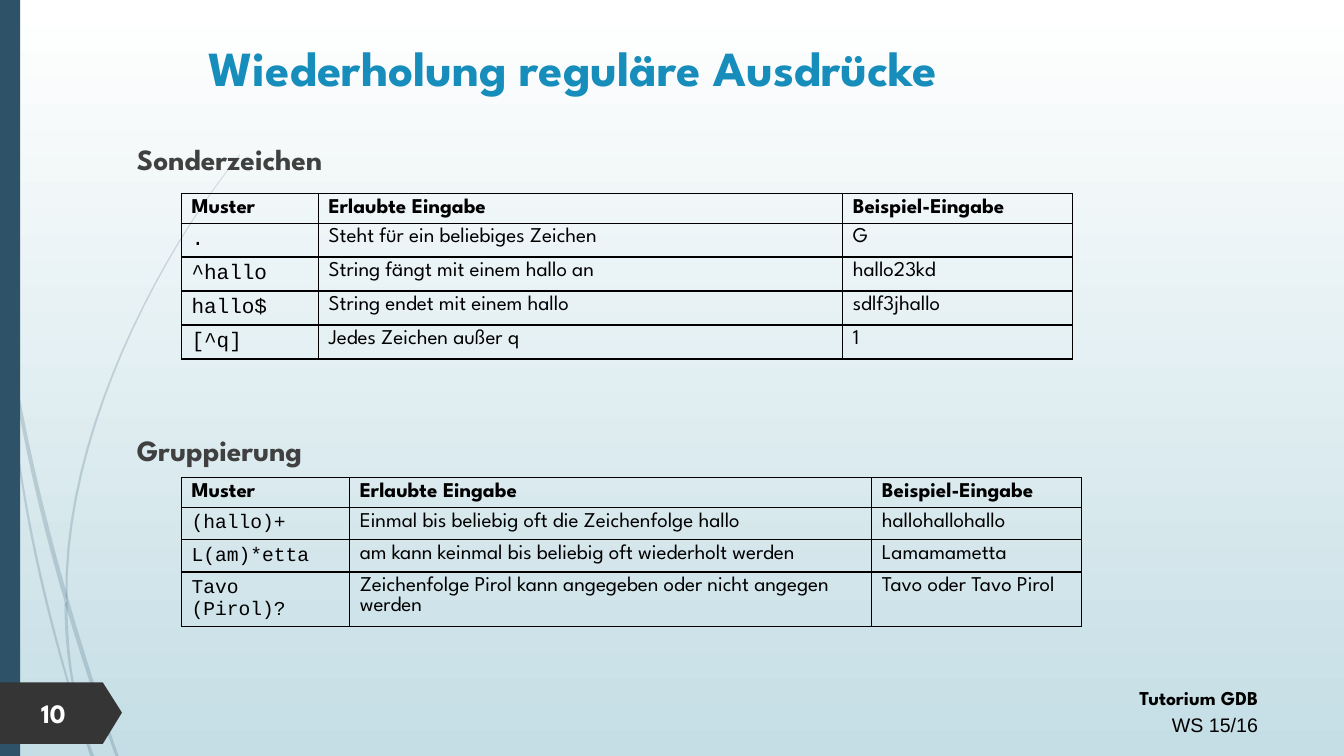
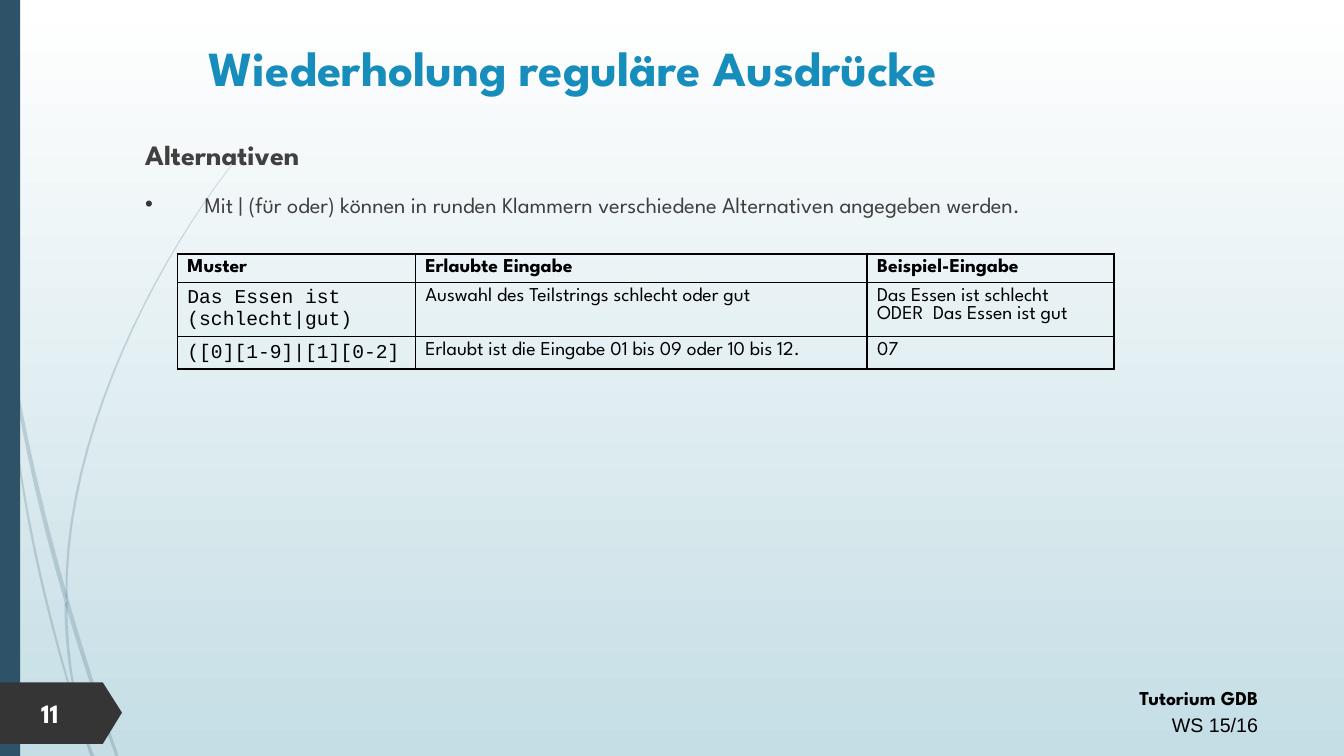
from dataclasses import dataclass

from lxml import etree
from pptx import Presentation
from pptx.dml.color import RGBColor
from pptx.enum import shapes, text
from pptx.oxml.ns import qn
from pptx.util import Pt


# Colours, fonts and type sizes
@dataclass(frozen=True)
class Theme:
    sky_top: str = "FFFFFF"
    sky_bottom: str = "C5DEE5"
    band: str = "2E5369"
    badge: str = "353535"
    title: str = "178DBB"
    body: str = "404040"
    black: str = "000000"
    white: str = "FFFFFF"
    font: str = "League Spartan"
    code: str = "Courier New"
    plain: str = "Arial"
    title_size: int = 35
    number_size: int = 19
    footer_size: int = 14


T = Theme()
ALIGN = text.PP_ALIGN
ANCHOR = text.MSO_ANCHOR
HEADER = ("Muster", "Erlaubte Eingabe", "Beispiel-Eingabe")
ROW_HEIGHT = 20
GRID = 0.72  # points per unit of the outlines below

# Grass strands: two edges each, one cubic curve down and one back up
STRANDS = [
    ([(11, 345), (33, 481), (71, 616), (118, 751)],
     [(115, 751), (69, 626), (34, 501), (13, 376)]),
    ([(8, 350), (17, 484), (48, 617), (91, 751)],
     [(90, 751), (45, 617), (14, 484), (8, 350)]),
    ([(67, 596), (67, 650), (74, 703), (94, 751)],
     [(91, 751), (73, 700), (64, 650), (64, 599)]),
    ([(67, 596), (64, 430), (160, 251), (238, 154)],
     [(238, 153), (159, 250), (62, 430), (65, 592)]),
]
BADGE = [(0, 677), (102, 677), (121, 707), (102, 738), (0, 738)]


def rgb(value):
    return RGBColor.from_string(value)


# Text
def write(p, content, *, size, font=T.font, color=T.black, bold=False, align=None,
          spacing=None, before=None, left=0, hanging=0, bullet=None):
    r = p.add_run()
    r.text = content
    r.font.size, r.font.name, r.font.bold = Pt(size), font, bold
    r.font.color.rgb = rgb(color)
    if align is not None:
        p.alignment = align
    if spacing:
        p.line_spacing = spacing
    if before is not None:
        p.space_before = Pt(before)
    pPr = p._p.get_or_add_pPr()
    pPr.set("marL", str(Pt(left)))
    pPr.set("indent", str(Pt(-hanging)))
    if bullet:
        clr = etree.SubElement(pPr, qn("a:buClr"))
        etree.SubElement(clr, qn("a:srgbClr"), val=T.badge)
        etree.SubElement(pPr, qn("a:buFont"), typeface=T.plain)
        etree.SubElement(pPr, qn("a:buChar"), char=bullet)
    else:
        etree.SubElement(pPr, qn("a:buNone"))


def place(sp, left, top, width, height, anchor):
    sp.left, sp.top, sp.width, sp.height = map(Pt, (left, top, width, height))
    tf = sp.text_frame
    tf.word_wrap = True
    tf.auto_size = text.MSO_AUTO_SIZE.NONE
    tf.vertical_anchor = anchor
    return tf


def text_box(s, left, top, width, height):
    sp = s.shapes.add_textbox(0, 0, 0, 0)
    return sp, place(sp, left, top, width, height, ANCHOR.BOTTOM)


# Outlines
def paint(sp, color, opacity=None):
    sp.shadow.inherit = False
    sp.line.fill.background()
    sp.fill.solid()
    sp.fill.fore_color.rgb = rgb(color)
    if opacity:
        clr = sp._element.spPr.find(".//" + qn("a:srgbClr"))
        etree.SubElement(clr, qn("a:alpha"), val=str(opacity * 1000))
    return sp


def flatten(edge, steps=20):
    """Turn one cubic curve into the corners of a polygon."""
    corners = []
    for k in range(steps + 1):
        t = k / steps
        weights = (1 - t) ** 3, 3 * t * (1 - t) ** 2, 3 * t * t * (1 - t), t ** 3
        corners.append(tuple(sum(w * q for w, q in zip(weights, axis))
                             for axis in zip(*edge)))
    return corners


def outline(s, corners, color, opacity=None):
    first, *rest = [(Pt(x * GRID), Pt(y * GRID)) for x, y in corners]
    builder = s.shapes.build_freeform(*first)
    builder.add_line_segments(rest, close=True)
    return paint(builder.convert_to_shape(), color, opacity)


# Shared look: drawn once, then moved to the layout
def dress_layout(layout, s):
    fill = layout.background.fill
    fill.gradient()
    fill.gradient_angle = 270
    for stop, color in zip(fill.gradient_stops, (T.sky_top, T.sky_bottom)):
        stop.color.rgb = rgb(color)

    parts = [outline(s, flatten(down) + flatten(up), T.band, 20)
             for down, up in STRANDS]
    band = s.shapes.add_shape(shapes.MSO_SHAPE.RECTANGLE, 0, 0, Pt(14.4), Pt(540))
    parts.append(paint(band, T.band))
    footer, tf = text_box(s, 531.4, 483.8, 374.4, 46)
    style = dict(size=T.footer_size, align=ALIGN.RIGHT, spacing=1.14)
    write(tf.paragraphs[0], "Tutorium GDB", bold=True, **style)
    write(tf.add_paragraph(), "WS 15/16", font=T.plain, **style)
    parts += [footer, outline(s, BADGE, T.badge)]
    for number, sp in enumerate(parts, 100):
        sp._element.nvSpPr.cNvPr.set("id", str(number))
        layout.shapes._spTree.append(sp._element)


# Slide parts
def heading(s, title, number):
    tf = place(s.shapes.title, 86.4, 18.7, 645.8, 58.3, ANCHOR.MIDDLE)
    write(tf.paragraphs[0], title, size=T.title_size, color=T.title, bold=True,
          align=ALIGN.CENTER)
    _, tf = text_box(s, 22.3, 493.9, 50.4, 30.2)
    write(tf.paragraphs[0], str(number), size=T.number_size, color=T.white, bold=True)


def body(s, box, paragraphs):
    tf = place(s.placeholders[1], *box, ANCHOR.TOP)
    for i, (content, style) in enumerate(paragraphs):
        p = tf.add_paragraph() if i else tf.paragraphs[0]
        write(p, content, **{"color": T.body, "spacing": 1.2, "before": 10, **style})


def border(cell):
    tcPr = cell._tc.get_or_add_tcPr()
    for i, side in enumerate(("lnL", "lnR", "lnT", "lnB")):
        ln = etree.Element(qn("a:" + side), w=str(Pt(1)))
        solid = etree.SubElement(ln, qn("a:solidFill"))
        etree.SubElement(solid, qn("a:srgbClr"), val=T.black)
        tcPr.insert(i, ln)


def pattern_table(s, left, top, widths, rows, size, code_size):
    rows = [HEADER, *rows]
    table = s.shapes.add_table(len(rows), len(widths), Pt(left), Pt(top),
                               Pt(sum(widths)), Pt(ROW_HEIGHT * len(rows))).table
    table.first_row = table.horz_banding = False
    for column, width in zip(table.columns, widths):
        column.width = Pt(width)
    for i, row in enumerate(rows):
        table.rows[i].height = Pt(ROW_HEIGHT)
        for j, content in enumerate(row):
            cell = table.cell(i, j)
            cell.fill.background()
            border(cell)
            is_code = i > 0 and j == 0
            tf = cell.text_frame
            for k, line in enumerate(content.split("\n")):
                write(tf.add_paragraph() if k else tf.paragraphs[0], line,
                      size=code_size if is_code else size,
                      font=T.code if is_code else T.font, bold=i == 0)


def main():
    prs = Presentation()
    prs.slide_width, prs.slide_height = Pt(960), Pt(540)
    layout = prs.slide_layouts[1]
    title = "Wiederholung reguläre Ausdrücke"

    # Special characters and grouping
    s = prs.slides.add_slide(layout)
    dress_layout(layout, s)
    heading(s, title, 10)
    section = dict(size=21, bold=True, left=10)
    body(s, (80.6, 92.2, 819.4, 360), [
        ("Sonderzeichen", section),
        ("Gruppierung", {**section, "before": 177.5}),
    ])
    pattern_table(s, 129.6, 138.2, (98, 374.4, 164.2), [
        (".", "Steht für ein beliebiges Zeichen", "G"),
        ("^hallo", "String fängt mit einem hallo an", "hallo23kd"),
        ("hallo$", "String endet mit einem hallo", "sdlf3jhallo"),
        ("[^q]", "Jedes Zeichen außer q", "1"),
    ], size=15, code_size=15)
    pattern_table(s, 129.6, 341.3, (120.2, 373, 149.8), [
        ("(hallo)+", "Einmal bis beliebig oft die Zeichenfolge hallo",
         "hallohallohallo"),
        ("L(am)*etta", "am kann keinmal bis beliebig oft wiederholt werden",
         "Lamamametta"),
        ("Tavo (Pirol)?",
         "Zeichenfolge Pirol kann angegeben oder nicht angegen werden",
         "Tavo oder Tavo Pirol"),
    ], size=15, code_size=14)

    # Alternatives
    s = prs.slides.add_slide(layout)
    heading(s, title, 11)
    body(s, (96.5, 90, 775.4, 59.8), [
        ("Alternativen", dict(size=20, bold=True)),
        ("Mit | (für oder) können in runden Klammern verschiedene Alternativen "
         "angegeben werden.", dict(size=16, left=42.5, hanging=42.5, bullet="•")),
    ])
    pattern_table(s, 126.7, 181.4, (170, 322.6, 176.4), [
        ("Das Essen ist (schlecht|gut)", "Auswahl des Teilstrings schlecht oder gut",
         "Das Essen ist schlecht\nODER  Das Essen ist gut"),
        ("([0][1-9]|[1][0-2]", "Erlaubt ist die Eingabe 01 bis 09 oder 10 bis 12.",
         "07"),
    ], size=14, code_size=14)

    prs.save("out.pptx")


main()
